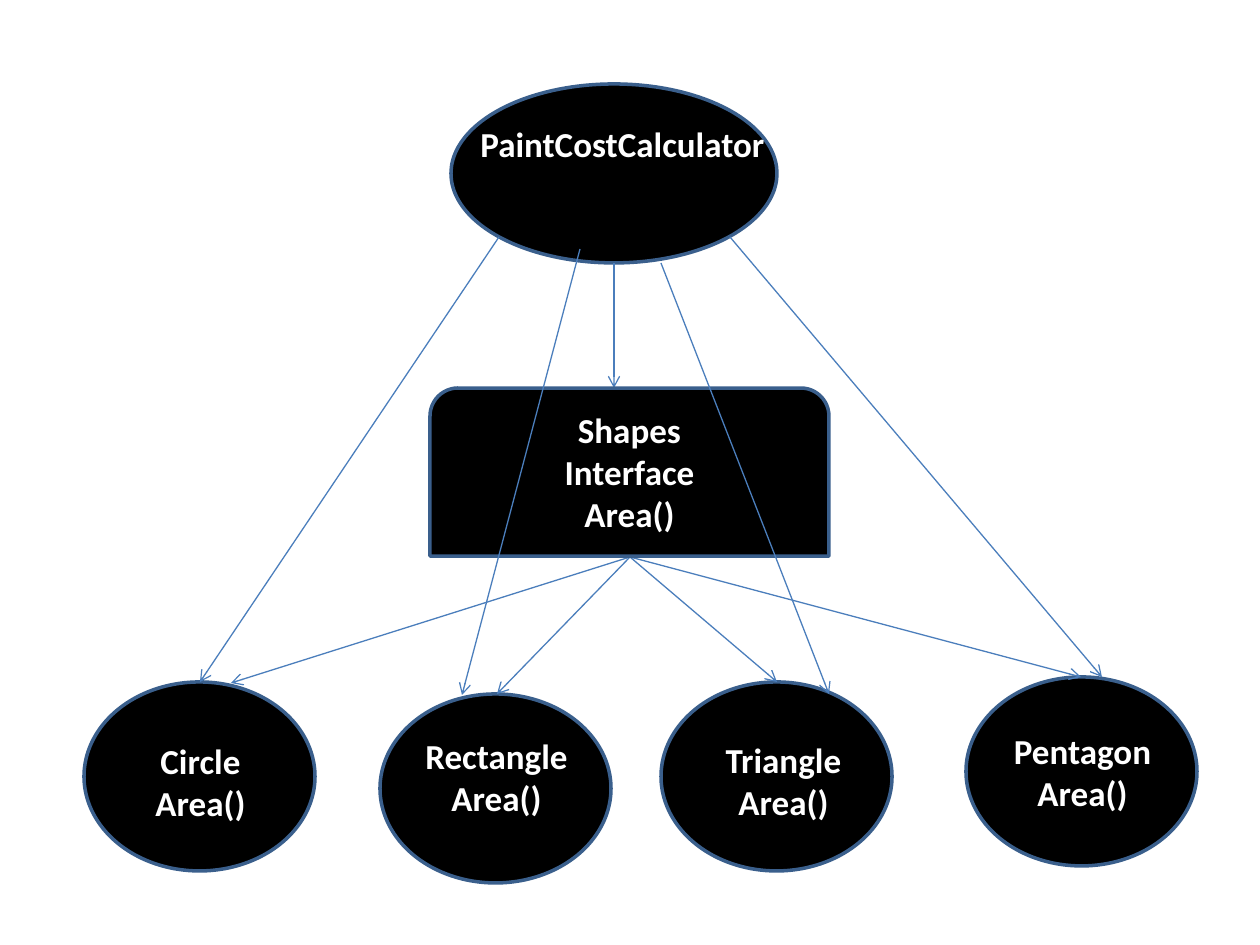
from pptx import Presentation
from pptx import util as u
from pptx.dml.color import RGBColor
from pptx.enum import shapes, text
from pptx.oxml.ns import qn
from lxml import etree

PX = u.Inches(1) / 126
BLACK = RGBColor(0x00, 0x00, 0x00)
WHITE = RGBColor(0xFF, 0xFF, 0xFF)
EDGE = RGBColor(0x3A, 0x5F, 0x8C)
ARROW = RGBColor(0x4B, 0x7E, 0xBC)
KIND = shapes.MSO_SHAPE

# Name, left and top of the oval, left and top of its label
FORMS = [
    ("Circle", 84, 682, 111, 733),
    ("Rectangle", 380, 694, 407, 728),
    ("Triangle", 661, 682, 694, 732),
    ("Pentagon", 966, 677, 993, 723),
]


def emu(*sizes):
    return [round(size * PX) for size in sizes]


def add_node(parent, kind, *box):
    node = parent.add_shape(kind, *emu(*box))
    node.shadow.inherit = False
    node.fill.solid()
    node.fill.fore_color.rgb = BLACK
    node.line.color.rgb = EDGE
    node.line.width = u.Pt(2)


def add_label(parent, lines, *box):
    label = parent.add_textbox(*emu(*box))
    frame = label.text_frame
    frame.word_wrap = True
    frame.text = "\n".join(lines)
    for para in frame.paragraphs:
        para.alignment = text.PP_ALIGN.CENTER
        font = para.font
        font.name, font.size, font.bold = "Calibri", u.Pt(20), True
        font.color.rgb = WHITE
    return label


def add_arrow(parent, start, end):
    line = parent.add_connector(shapes.MSO_CONNECTOR.STRAIGHT,
                                *emu(*start, *end))
    line.line.color.rgb = ARROW
    line.line.width = u.Pt(0.75)
    props = line._element.spPr
    etree.SubElement(props.find(qn("a:ln")), qn("a:tailEnd"), type="arrow")
    etree.SubElement(props, qn("a:effectLst"))


def main():
    deck = Presentation()
    deck.slide_width, deck.slide_height = u.Inches(10), u.Inches(7.5)
    items = deck.slides.add_slide(deck.slide_layouts[6]).shapes

    # Ovals
    add_node(items, KIND.OVAL, 451, 84, 326, 179)
    for name, left, top, *spot in FORMS:
        add_node(items, KIND.OVAL, left, top, 231, 189)

    # Arrows to and from the interface
    add_arrow(items, (614, 263), (614, 388))
    for end in [(231, 683), (1081, 677), (497, 694), (777, 682)]:
        add_arrow(items, (630, 557), end)

    # Calculator label and interface box
    add_label(items, ["PaintCostCalculator"], 462, 116, 321, 55)
    group = items.add_group_shape().shapes
    add_node(group, KIND.ROUND_2_SAME_RECTANGLE, 430, 388, 399, 168)
    add_label(group, ["Shapes Interface", "Area()"], 500, 402, 259, 140)

    # Labels of the forms
    for name, left, top, *spot in FORMS:
        label = add_label(items, [name, "Area()"], *spot, 179, 97)
        if name == "Circle":
            label.fill.solid()
            label.fill.fore_color.rgb = BLACK

    # Arrows from the calculator to the forms
    for start, end in [((499, 237), (200, 682)), ((580, 249), (462, 695)),
                       ((661, 263), (829, 694)), ((730, 237), (1102, 677))]:
        add_arrow(items, start, end)

    deck.save("out.pptx")


main()
